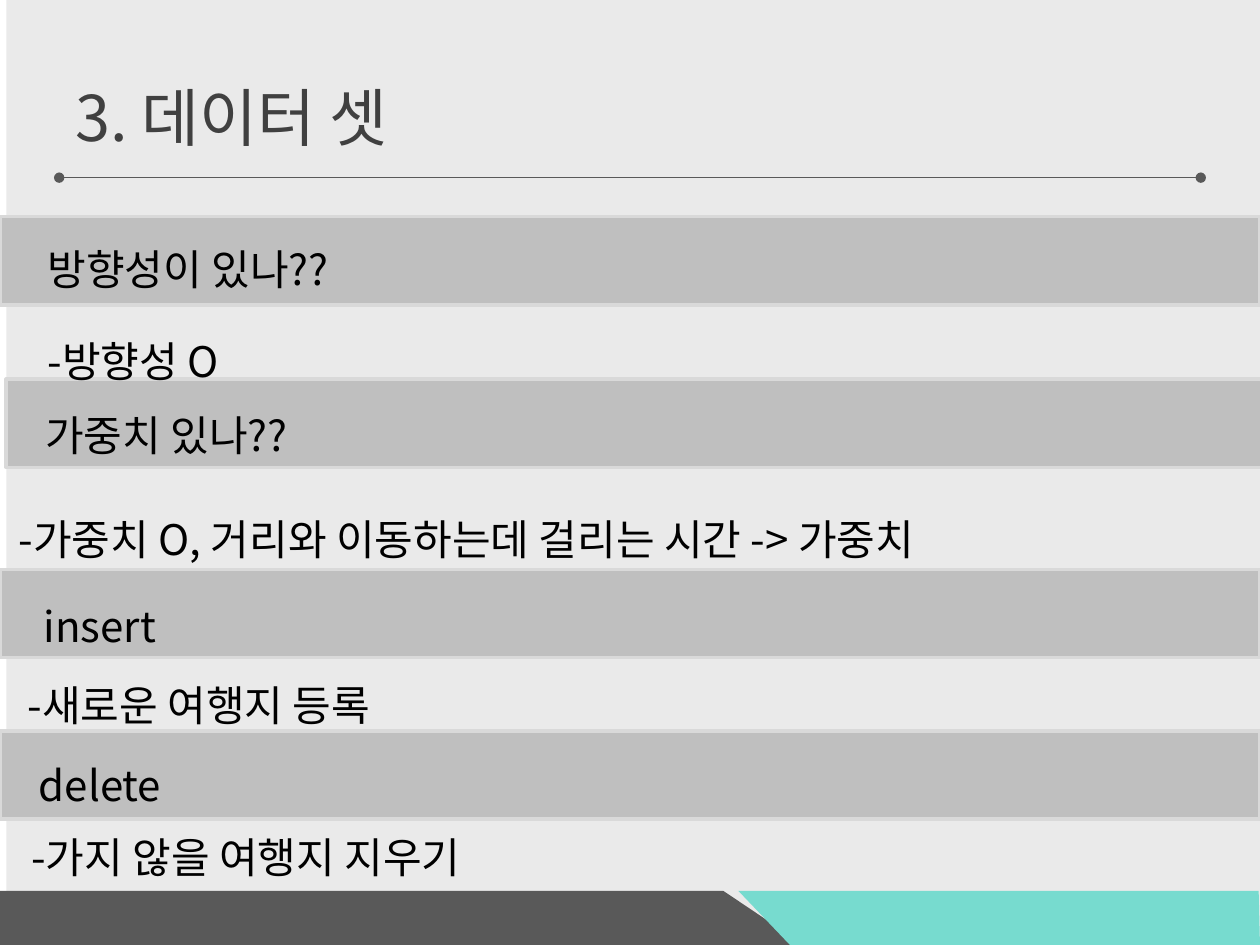
from pptx import Presentation
from pptx.dml.color import RGBColor
from pptx.enum import shapes, text
from pptx.oxml.ns import qn
from pptx.util import Inches, Pt
from lxml import etree

FONT = "Noto Sans CJK KR"
PAPER = RGBColor(0xEA, 0xEA, 0xEA)
BAR = RGBColor(0xBF, 0xBF, 0xBF)
BAR_EDGE = RGBColor(0xD9, 0xD9, 0xD9)
DARK = RGBColor(0x59, 0x59, 0x59)
TEAL = RGBColor(0x77, 0xDB, 0xCF)
TITLE = RGBColor(0x40, 0x40, 0x40)
BLACK = RGBColor(0, 0, 0)

# (bar left, bar top), then (text, left, top) of the question and its answer
SECTIONS = [
    ((0, 1.72), ("방향성이 있나??", 0.28, 1.68), ("-방향성 O", 0.28, 2.41)),
    ((0.05, 3.01), ("가중치 있나??", 0.26, 3),
     ("-가중치 O, 거리와 이동하는데 걸리는 시간 -> 가중치", 0.05, 3.83)),
    ((0, 4.52), ("insert", 0.25, 4.52), ("-새로운 여행지 등록", 0.12, 5.14)),
    ((0, 5.8), ("delete", 0.21, 5.78), ("-가지 않을 여행지 지우기", 0.15, 6.35)),
]
FOOTER = [
    (DARK, [(-0.08, 7.07), (5.74, 7.07), (6.38, 7.5), (-0.07, 7.5)]),
    (TEAL, [(10, 7.5), (6.27, 7.5), (5.86, 7.07), (9.99, 7.07)]),
]


def paint(sp, fill, edge=None):
    sp.shadow.inherit = False
    sp.fill.solid()
    sp.fill.fore_color.rgb = fill
    if edge is None:
        sp.line.fill.background()
    else:
        sp.line.color.rgb = edge
        sp.line.width = Pt(2)


def add_rect(s, x, y, w, h, fill, edge=None):
    sp = s.shapes.add_shape(shapes.MSO_SHAPE.RECTANGLE,
                            *map(Inches, (x, y, w, h)))
    paint(sp, fill, edge)


def add_text(s, words, box, size, color, **frame):
    tf = s.shapes.add_textbox(*map(Inches, box)).text_frame
    for name, value in {"word_wrap": True, **frame}.items():
        setattr(tf, name, value)
    p = tf.paragraphs[0]
    r = p.add_run()
    r.text = words
    for name, value in {"size": Pt(size), "name": FONT}.items():
        setattr(r.font, name, value)
    r.font.color.rgb = color
    etree.SubElement(r.font._element, qn("a:ea"), typeface=FONT)
    return p


def add_line(s, words, x, y):
    """Add one body line with a hanging indent."""
    p = add_text(s, words, (x, y, 8.5, 0.65), 24, BLACK,
                 auto_size=text.MSO_AUTO_SIZE.SHAPE_TO_FIT_TEXT)
    p.line_spacing = 1.5
    indent = Inches(0.56)
    pPr = p._p.get_or_add_pPr()
    pPr.set("marL", str(indent))
    pPr.set("indent", str(-indent))


def add_rule(s, x1, x2, y):
    """Add the title rule with a dot at each end."""
    line = s.shapes.add_connector(shapes.MSO_CONNECTOR.STRAIGHT,
                                  *map(Inches, (x1, y, x2, y)))
    line.line.color.rgb = DARK
    line.line.width = Pt(0.75)
    ln = line.line._get_or_add_ln()
    for end in ("a:headEnd", "a:tailEnd"):
        etree.SubElement(ln, qn(end), type="oval")
    etree.SubElement(line._element.spPr, qn("a:effectLst"))


def main():
    prs = Presentation()
    prs.slide_width, prs.slide_height = Inches(10), Inches(7.5)
    s = prs.slides.add_slide(prs.slide_layouts[6])

    add_rect(s, 0.05, -0.02, 10, 7.5, PAPER)
    add_text(s, "3. 데이터 셋", (0.5, 0.3, 9, 1.25), 36, TITLE,
             vertical_anchor=text.MSO_ANCHOR.MIDDLE)
    for color, corners in FOOTER:
        points = [(Inches(x), Inches(y)) for x, y in corners]
        outline = s.shapes.build_freeform(*points[0])
        outline.add_line_segments(points[1:])
        paint(outline.convert_to_shape(), color)
    add_rule(s, 0.47, 9.53, 1.41)

    for (x, y), _, _ in SECTIONS:
        add_rect(s, x, y, 10, 0.7, BAR, BAR_EDGE)
    for _, question, answer in SECTIONS:
        add_line(s, *question)
        add_line(s, *answer)

    prs.save("out.pptx")


if __name__ == "__main__":
    main()
